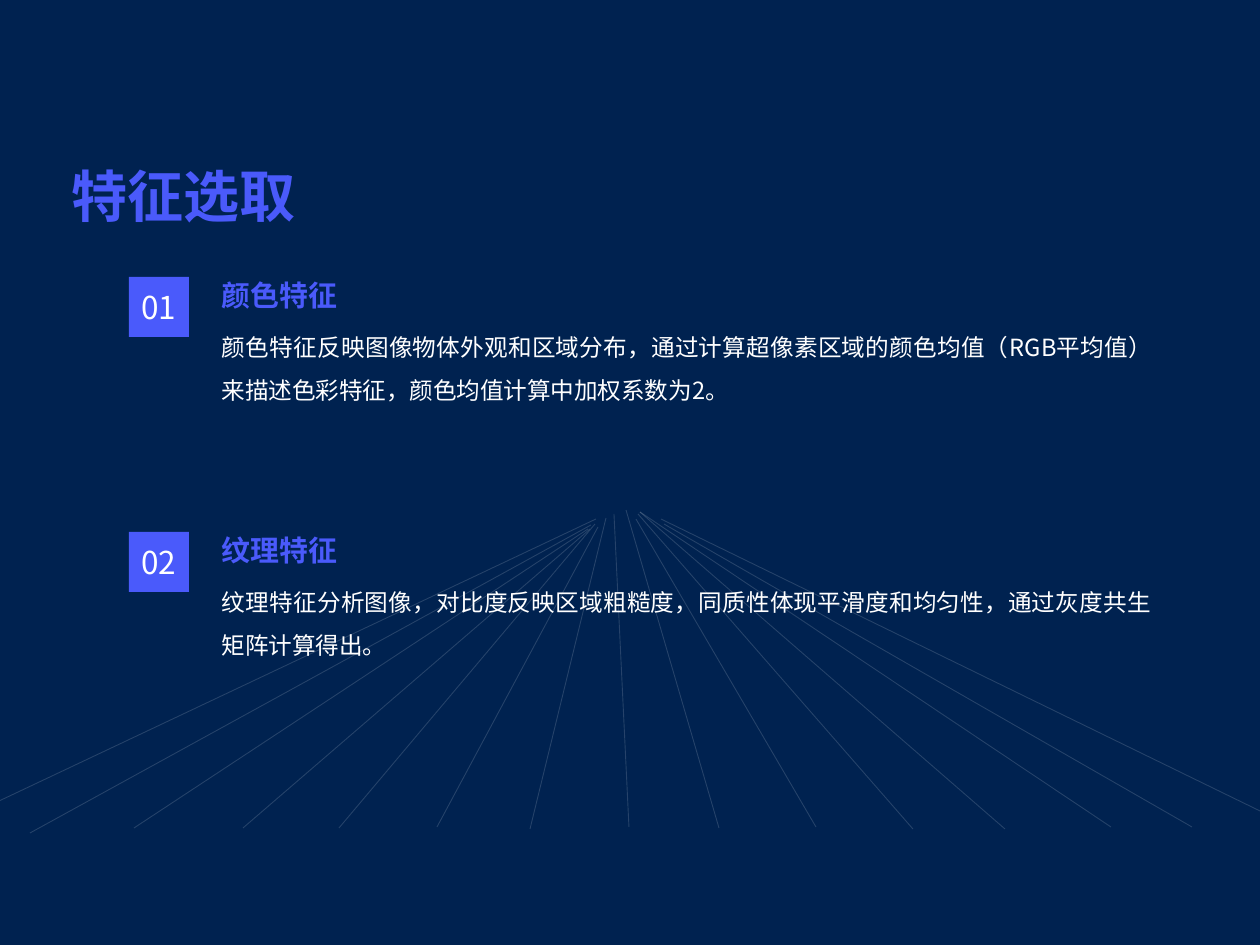
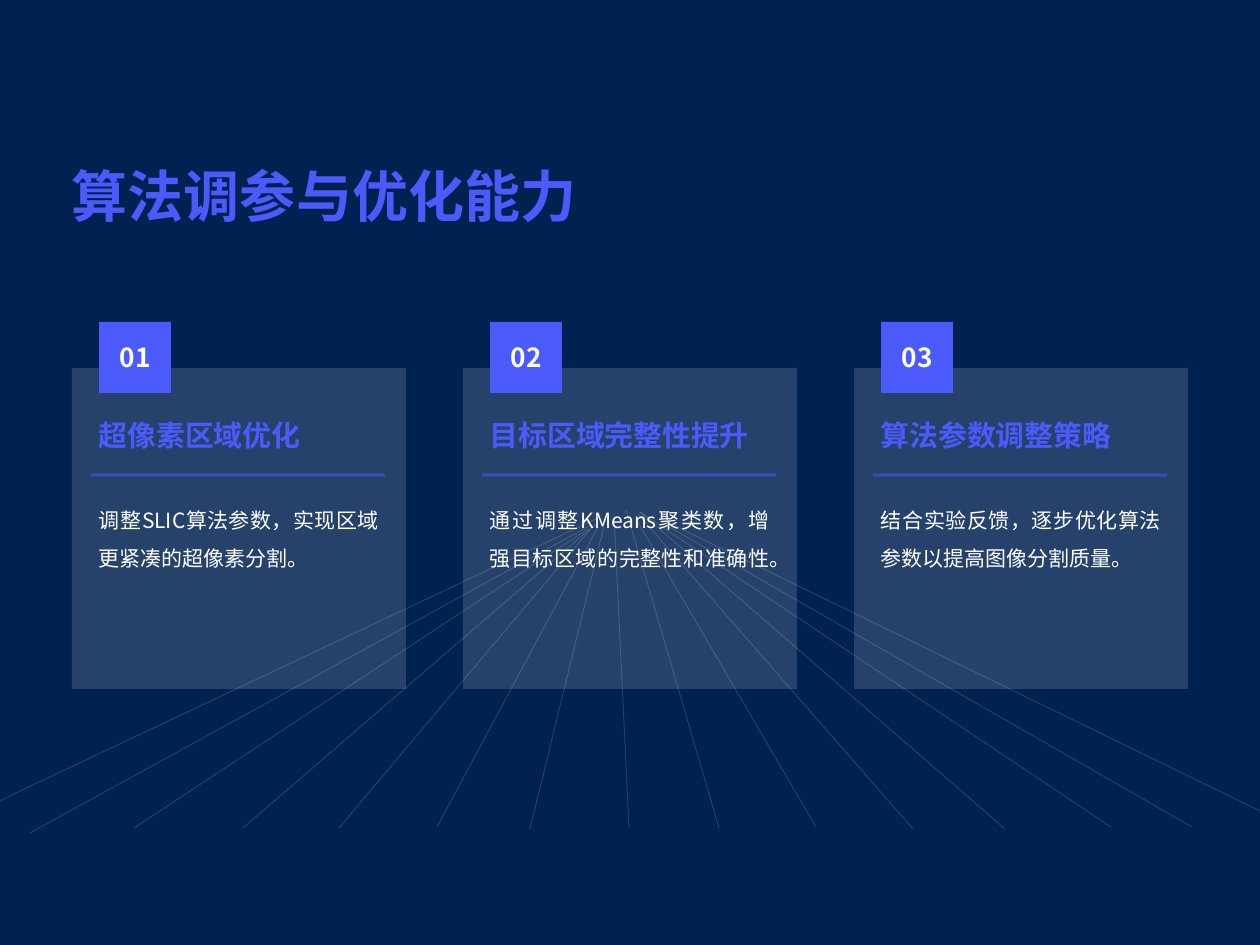
import pptx
import pptx.util
import pptx.dml.color
import pptx.enum.dml
import pptx.enum.shapes
import pptx.enum.text
import pptx.oxml.ns
from lxml import etree

RGBColor = pptx.dml.color.RGBColor
Align = pptx.enum.text.PP_ALIGN
Anchor = pptx.enum.text.MSO_ANCHOR

# Colours and fonts
NAVY = RGBColor(0x00, 0x22, 0x50)
VIOLET = RGBColor(0x4A, 0x5A, 0xFB)
TEAL = RGBColor(0x00, 0xCE, 0xCC)
WHITE = RGBColor(0xFF, 0xFF, 0xFF)
SANS = "Noto Sans CJK SC"

# Pixels to EMU
PX = 914400 / 126
PAGE_WIDTH, PAGE_HEIGHT = 1260, 945

# Rays of the floor: far end, then vanishing end
RAYS = [
    (629, 827, 614, 514), (719, 828, 626, 510), (816, 827, 636, 519),
    (913, 829, 638, 514), (1005, 829, 640, 512), (1111, 827, 640, 512),
    (1192, 827, 664, 524), (1260, 811, 661, 519), (-1, 801, 596, 519),
    (30, 833, 591, 525), (134, 828, 588, 529), (243, 828, 590, 529),
    (339, 828, 595, 524), (437, 827, 598, 527), (530, 829, 606, 518),
]

# Text formats
HEADING = {"size": 16.5, "bold": True, "color": VIOLET}
FEATURE_BODY = {"size": 13.5, "color": WHITE}
CARD_BODY = {"size": 12, "color": WHITE}
FEATURE_BADGE = {"size": 18, "color": WHITE}
CARD_BADGE = {"size": 15, "bold": True, "color": WHITE}

FEATURES = [
    ("颜色特征", "颜色特征反映图像物体外观和区域分布，通过计算超像素区域的颜色均值"
     "（RGB平均值）来描述色彩特征，颜色均值计算中加权系数为2。"),
    ("纹理特征", "纹理特征分析图像，对比度反映区域粗糙度，同质性体现平滑度和均匀性，"
     "通过灰度共生矩阵计算得出。"),
]
CARDS = [
    ("超像素区域优化", "调整SLIC算法参数，实现区域更紧凑的超像素分割。"),
    ("目标区域完整性提升", "通过调整KMeans聚类数，增强目标区域的完整性和准确性。"),
    ("算法参数调整策略", "结合实验反馈，逐步优化算法参数以提高图像分割质量。"),
]


def emu(*lengths):
    return [round(length * PX) for length in lengths]


def set_opacity(owner, percent):
    for color in owner.iter(pptx.oxml.ns.qn("a:srgbClr")):
        alpha = etree.SubElement(color, pptx.oxml.ns.qn("a:alpha"))
        alpha.set("val", str(percent * 1000))


class SlideBuilder:
    """Holds the deck, its style and the current page."""

    def __init__(self):
        self.deck = pptx.Presentation()
        self.deck.slide_width, self.deck.slide_height = emu(PAGE_WIDTH, PAGE_HEIGHT)
        background = self.deck.slide_master.background.fill
        background.solid()
        background.fore_color.rgb = NAVY
        self.page = None

    def start_page(self, title):
        self.page = self.deck.slides.add_slide(self.deck.slide_layouts[5])
        for ray in RAYS:
            self.line(*ray, WHITE, 0.5, 15)
        box = self.page.shapes.title
        box.left, box.top, box.width, box.height = emu(72, 155, 1116, 74)
        span = self.fill_text(box, title, {"name": "Arial", "size": 32, "bold": True},
                              Anchor.BOTTOM)
        fill = span.font.fill
        fill.gradient()
        fill.gradient_angle = 110
        for stop, color, position in zip(fill.gradient_stops, (VIOLET, TEAL), (0, 0.64)):
            stop.color.rgb = color
            stop.position = position

    def fill_text(self, box, text, style, anchor, align=Align.LEFT, spacing=None):
        frame = box.text_frame
        settings = {"word_wrap": True, "auto_size": pptx.enum.text.MSO_AUTO_SIZE.NONE,
                    "vertical_anchor": anchor, "margin_left": 0, "margin_top": 0,
                    "margin_right": 0, "margin_bottom": 0}
        for name, value in settings.items():
            setattr(frame, name, value)
        para = frame.paragraphs[0]
        para.alignment = align
        para.line_spacing = spacing
        span = para.add_run()
        span.text = text
        for name, value in {"name": SANS, **style}.items():
            if name == "color":
                span.font.color.rgb = value
            else:
                setattr(span.font, name, pptx.util.Pt(value) if name == "size" else value)
        properties = span.font._element
        properties.set("lang", "zh-CN")
        east_asian = etree.SubElement(properties, pptx.oxml.ns.qn("a:ea"))
        east_asian.set("typeface", SANS)
        return span

    def text(self, left, top, width, height, text, style, **layout):
        box = self.page.shapes.add_textbox(*emu(left, top, width, height))
        self.fill_text(box, text, style, **layout)

    def heading(self, left, top, width, height, text):
        self.text(left, top, width, height, text, HEADING, anchor=Anchor.MIDDLE)

    def body(self, left, top, width, height, text, style):
        self.text(left, top, width, height, text, style, anchor=Anchor.TOP,
                  align=Align.JUSTIFY, spacing=1.5)

    def panel(self, left, top, width, height, color, opacity=100):
        shape = self.page.shapes.add_shape(
            pptx.enum.shapes.MSO_SHAPE.RECTANGLE, *emu(left, top, width, height))
        shape.shadow.inherit = False
        shape.fill.solid()
        shape.fill.fore_color.rgb = color
        shape.line.fill.background()
        if opacity < 100:
            set_opacity(shape._element.spPr, opacity)
        return shape

    def badge(self, left, top, width, height, number, style):
        shape = self.panel(left, top, width, height, VIOLET)
        self.fill_text(shape, f"{number:02d}", style, Anchor.MIDDLE, Align.CENTER)

    def line(self, x1, y1, x2, y2, color, weight, opacity):
        connector = self.page.shapes.add_connector(
            pptx.enum.shapes.MSO_CONNECTOR.STRAIGHT, *emu(x1, y1, x2, y2))
        connector.line.color.rgb = color
        connector.line.width = pptx.util.Pt(weight)
        properties = connector._element.spPr
        set_opacity(properties, opacity)
        etree.SubElement(properties, pptx.oxml.ns.qn("a:effectLst"))


def build_features(builder):
    builder.start_page("特征选取")
    for index, (name, description) in enumerate(FEATURES):
        top = 271 + index * 255
        builder.body(222, top + 48, 930, 185, description, FEATURE_BODY)
        builder.heading(222, top, 930, 48, name)
        builder.badge(129, top + 6, 60, 60, index + 1, FEATURE_BADGE)


def build_cards(builder):
    builder.start_page("算法调参与优化能力")
    for index, (name, description) in enumerate(CARDS):
        left = 72 + index * 391
        builder.panel(left, 368, 334, 321, WHITE, 15)
        builder.body(left + 27, 495, 280, 166, description, CARD_BODY)
        builder.badge(left + 27, 322, 72, 71, index + 1, CARD_BADGE)
        builder.heading(left + 27, 412, 280, 46, name)
        builder.line(left + 19, 475, left + 313, 475, VIOLET, 1.75, 50)


def main():
    builder = SlideBuilder()
    build_features(builder)
    build_cards(builder)
    builder.deck.save("out.pptx")


if __name__ == "__main__":
    main()
